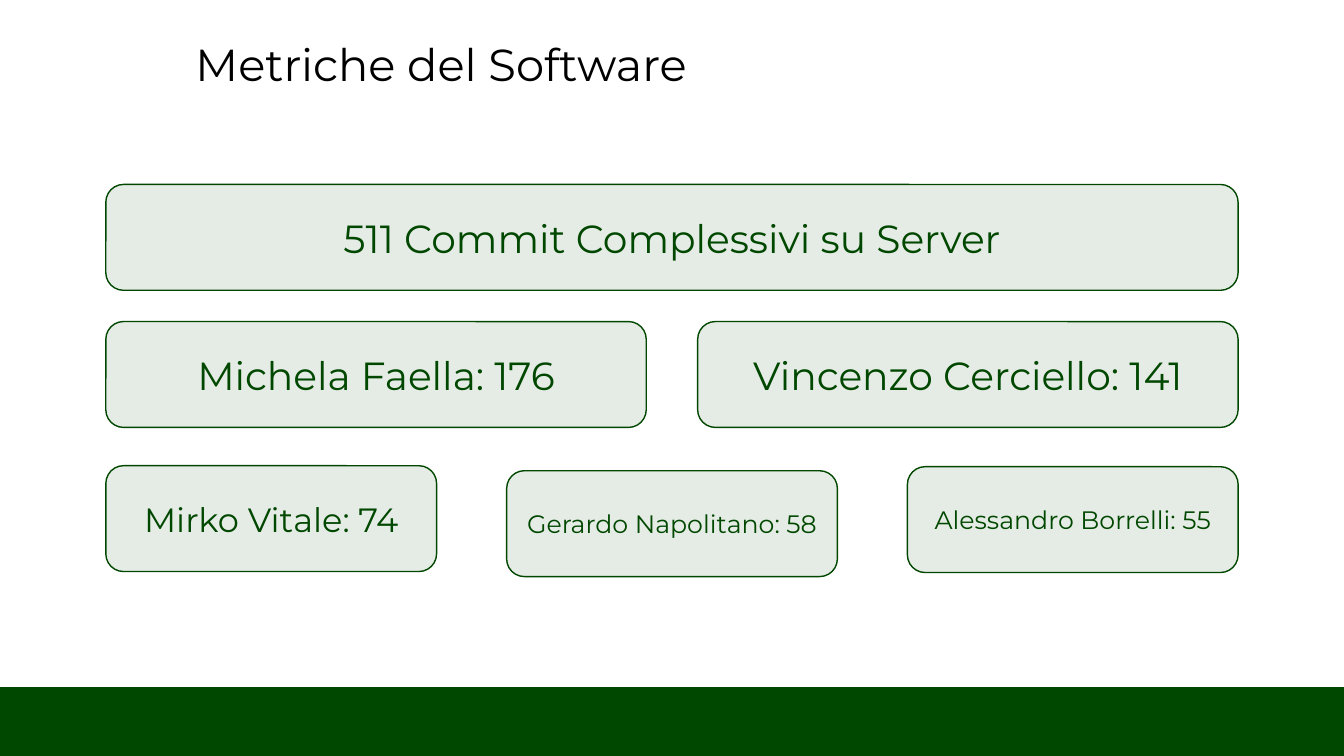
from lxml import etree
from pptx import Presentation
from pptx.dml.color import RGBColor
from pptx.enum.shapes import MSO_SHAPE
from pptx.enum.text import MSO_ANCHOR, MSO_AUTO_SIZE, PP_ALIGN
from pptx.oxml.ns import qn
from pptx.util import Inches, Pt

RECT, ROUNDED = MSO_SHAPE.RECTANGLE, MSO_SHAPE.ROUNDED_RECTANGLE
MIDDLE, CENTER = MSO_ANCHOR.MIDDLE, PP_ALIGN.CENTER
FIT_SHAPE = MSO_AUTO_SIZE.SHAPE_TO_FIT_TEXT
FONT = "Montserrat"
COLORS = {"green": "004700", "black": "000000"}

# Card grid
LEFT, WIDTH, HEIGHT = 1.05, 11.23, 1.05
# Each row: card width, then (text, size, top) per card
ROWS = [
    (11.23, [("511 Commit Complessivi su Server", 28, 1.83)]),
    (5.36, [("Michela Faella: 176", 28, 3.19),
            ("Vincenzo Cerciello: 141", 28, 3.19)]),
    (3.28, [("Mirko Vitale: 74", 24, 4.62),
            ("Gerardo Napolitano: 58", 18, 4.67),
            ("Alessandro Borrelli: 55", 18, 4.63)]),
]


def color(name):
    return RGBColor.from_string(COLORS[name])


def add_run(p, text, size, color_name):
    r = p.add_run()
    r.text = text
    r.font.name = FONT
    r.font.size = Pt(size)
    r.font.color.rgb = color(color_name)


def add_box(s, kind, left, top, width, height, opacity=100):
    sp = s.shapes.add_shape(kind, Inches(left), Inches(top),
                            Inches(width), Inches(height))
    sp.shadow.inherit = False
    sp.fill.solid()
    sp.fill.fore_color.rgb = color("green")
    sp.line.color.rgb = color("green")
    sp.line.width = Pt(1)
    if opacity < 100:
        fill = sp._element.spPr.find(qn("a:solidFill"))
        etree.SubElement(fill[0], qn("a:alpha"), val=str(opacity * 1000))
    return sp


def add_title(s, text):
    sp = s.shapes.add_textbox(Inches(1.34), Inches(0.32),
                              Inches(7.82), Inches(0.64))
    tf = sp.text_frame
    tf.word_wrap = True
    tf.auto_size = FIT_SHAPE
    p = tf.paragraphs[0]
    p.level = 1
    p._p.get_or_add_pPr().set("marL", str(Inches(0.5)))
    add_run(p, text, 32, "black")


def add_card(s, text, size, left, top, width):
    tf = add_box(s, ROUNDED, left, top, width, HEIGHT, opacity=10).text_frame
    tf.word_wrap = True
    tf.vertical_anchor = MIDDLE
    p = tf.paragraphs[0]
    p.alignment = CENTER
    add_run(p, text, size, "green")


def add_row(s, card_width, cards):
    # Spread the cards evenly from the left edge to the right edge
    step = (WIDTH - card_width) / max(len(cards) - 1, 1)
    for i, (text, size, top) in enumerate(cards):
        add_card(s, text, size, LEFT + i * step, top, card_width)


def main():
    prs = Presentation()
    prs.slide_width, prs.slide_height = Inches(13.33), Inches(7.5)
    s = prs.slides.add_slide(prs.slide_layouts[6])

    # Footer band and title
    add_box(s, RECT, 0, 6.82, 13.33, 0.68)
    add_title(s, "Metriche del Software")

    # Commit counts
    for card_width, cards in ROWS:
        add_row(s, card_width, cards)

    prs.save("out.pptx")


if __name__ == "__main__":
    main()
